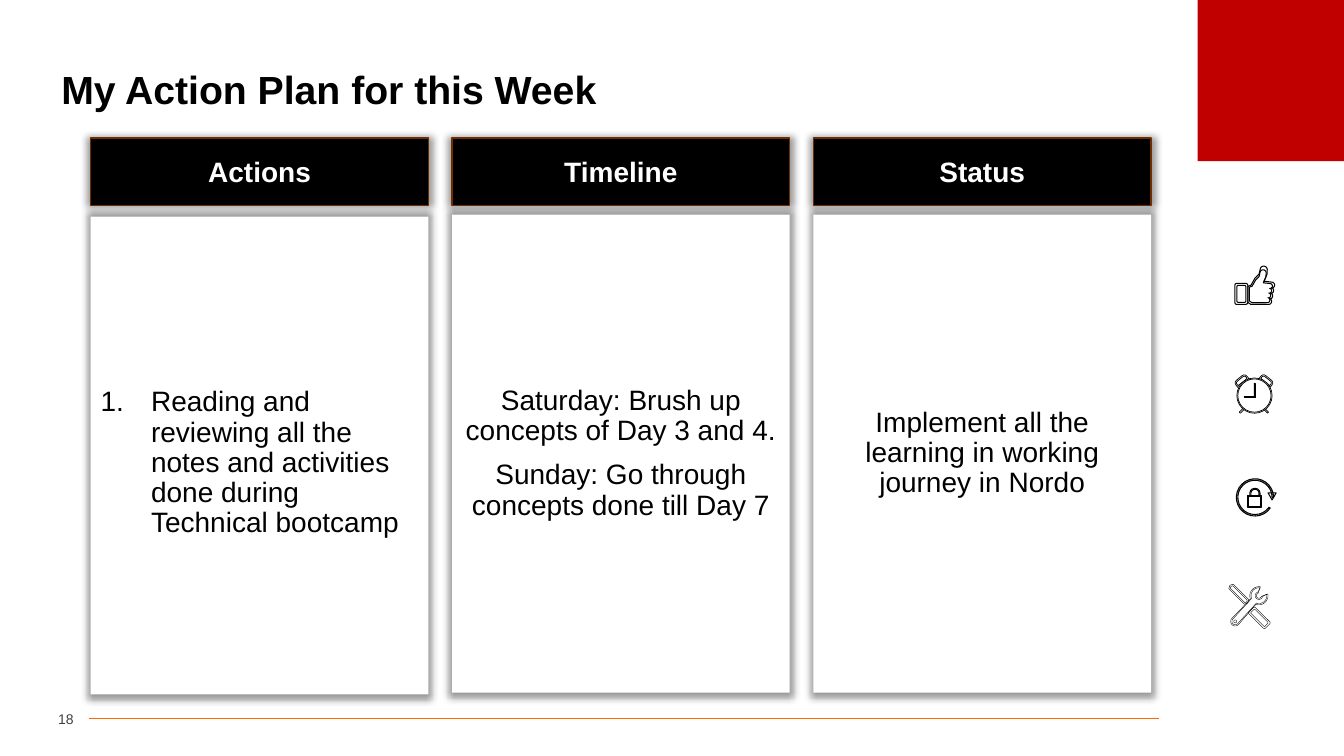
"""Builds the weekly action plan slide with three columns and four icons."""
import math
from collections import namedtuple

from lxml import etree
from pptx import Presentation
from pptx.dml.color import RGBColor
from pptx.enum import shapes, text
from pptx.oxml.ns import qn
from pptx.util import Pt

COLORS = {"black": "000000", "white": "FFFFFF", "red": "C00000", "brown": "702D00",
          "orange": "FF6600", "gray": "404040"}
FONT = "Arial"
TITLE = "My Action Plan for this Week"
PAGE = "18"
COLUMNS = [
    {"head": "Actions", "top": 154.8, "numbered": True,
     "body": ["Reading and reviewing all the notes and activities done during Technical bootcamp"]},
    {"head": "Timeline", "top": 153.4, "numbered": False,
     "body": ["Saturday: Brush up concepts of Day 3 and 4.",
              "Sunday: Go through concepts done till Day 7"]},
    {"head": "Status", "top": 153.4, "numbered": False,
     "body": ["Implement all the learning in working journey in Nordo"]},
]
COL_LEFT, COL_STEP, COL_WIDTH = 64.8, 258.1, 241.2
HEAD_TOP, HEAD_HEIGHT, BODY_HEIGHT = 98.6, 48.2, 341.3

GRID, GRID_SIZE = 0.72, 90
RECT, ROUNDED = shapes.MSO_SHAPE.RECTANGLE, shapes.MSO_SHAPE.ROUNDED_RECTANGLE
OVAL, DOME = shapes.MSO_SHAPE.OVAL, shapes.MSO_SHAPE.ROUND_2_SAME_RECTANGLE
HEXAGON, TRIANGLE = shapes.MSO_SHAPE.HEXAGON, shapes.MSO_SHAPE.FLOWCHART_MERGE
Part = namedtuple("Part", "kind cx cy width height turn gap fill", defaults=(0, 0, "white"))

CUFF = Part(ROUNDED, 32.5, 48.5, 13, 21, gap=2)
BELL = Part(DOME, 57.5, 30.5, 14, 6.5, turn=39, gap=1.3)
FOOT = Part(RECT, 57, 60.5, 5.5, 1.5, turn=45)
CLOCK_FACE = Part(OVAL, 45.5, 45.5, 35, 35, gap=1)
HOUR_HAND = Part(RECT, 40.5, 46.5, 11, 1, fill="black")
MINUTE_HAND = Part(RECT, 45.5, 40, 1, 14, fill="black")
ARROW_TIP = Part(TRIANGLE, 63, 43.5, 8, 7)
SHACKLE = Part(DOME, 46, 40, 10, 9, gap=1)
LOCK_BODY = Part(RECT, 46, 48.5, 14, 11, gap=1)
DRIVER_HANDLE = Part(ROUNDED, 53.5, 58, 23, 9, turn=45, gap=1.7)
DRIVER_BLADE = Part(HEXAGON, 33, 34.5, 25, 6.5, turn=45, gap=1.5)
WRENCH_HOLE = Part(OVAL, 29.5, 61.5, 3, 3)


def mirrored(part):
    return part._replace(cx=GRID_SIZE - part.cx, turn=-part.turn)


def arc(cx, cy, radius, start, end):
    angles = [math.radians(start + (end - start) * i / 24) for i in range(25)]
    return [(cx + radius * math.cos(a), cy - radius * math.sin(a)) for a in angles]


def scaled(points, cx, cy, factor):
    return [(cx + (x - cx) * factor, cy + (y - cy) * factor) for x, y in points]


def hand_outline():
    palm = [(39, 57), (42, 59), (58, 59)]
    knuckles = []
    for finger in range(4):
        knuckles += arc(59.5 + finger, 56 - 5.4 * finger, 3, -75, 75)
    thumb = [(55, 36), (58, 29)] + arc(54.7, 24.5, 3.5, 0, 170)
    return palm + knuckles + thumb + [(50, 29), (46, 33), (42, 40), (39, 41)]


def ring_outline(cx, cy, outer, inner, sweep):
    return arc(cx, cy, outer, 0, sweep) + arc(cx, cy, inner, sweep, 0)


def wrench_outline(inset):
    axis, head, tail = 46, (53, 36), (29.5, 61.5)
    upper_jaw = arc(*head, 9 - inset, axis + 35, axis + 155)
    grip = arc(*tail, 4.5 - inset, axis + 90, axis + 270)
    lower_jaw = arc(*head, 9 - inset, axis + 205, axis + 325)
    notch = arc(*head, 2.5 + inset, axis - 60, axis - 300)
    return upper_jaw + grip + lower_jaw + notch


HAND = hand_outline()
ICONS = [
    {"name": "thumb", "left": 863.3, "top": 175, "weight": 0.75, "parts": [CUFF],
     "outlines": [HAND, scaled(HAND, 50, 47, 0.86)]},
    {"name": "clock", "left": 863.3, "top": 249.8, "weight": 0.5, "outlines": [],
     "parts": [BELL, mirrored(BELL), FOOT, mirrored(FOOT), CLOCK_FACE, HOUR_HAND, MINUTE_HAND]},
    {"name": "lock", "left": 863.3, "top": 323.3, "weight": 0.75,
     "parts": [ARROW_TIP, SHACKLE, LOCK_BODY],
     "outlines": [ring_outline(46, 44.5, 18.5, 17, 325)]},
    {"name": "tools", "left": 861.1, "top": 399.6, "weight": 0.25,
     "parts": [DRIVER_HANDLE, DRIVER_BLADE, WRENCH_HOLE],
     "outlines": [wrench_outline(0), wrench_outline(1.2)]},
]


def rgb(name):
    return RGBColor.from_string(COLORS[name])


def style(sp, fill, line=None, weight=1):
    sp.shadow.inherit = False
    if fill:
        sp.fill.solid()
        sp.fill.fore_color.rgb = rgb(fill)
    else:
        sp.fill.background()
    if line:
        sp.line.color.rgb = rgb(line)
        sp.line.width = Pt(weight)
    else:
        sp.line.fill.background()


def add_shape(slide, kind, box, fill, line=None, weight=1):
    sp = slide.shapes.add_shape(kind, *map(Pt, box))
    style(sp, fill, line, weight)
    return sp


def add_glow(sp):
    effects = sp._element.spPr.find(qn("a:effectLst"))
    shadow = etree.SubElement(effects, qn("a:outerShdw"), blurRad=str(Pt(5)), dist="0", dir="0",
                              sx="102000", sy="102000", algn="ctr", rotWithShape="0")
    color = etree.SubElement(shadow, qn("a:srgbClr"), val=COLORS["black"])
    etree.SubElement(color, qn("a:alpha"), val="40000")


def write(sp, lines, size, color, bold=False, align=text.PP_ALIGN.CENTER, spacing=None, before=0):
    tf = sp.text_frame
    tf.word_wrap = True
    tf.vertical_anchor = text.MSO_ANCHOR.MIDDLE
    for i, line in enumerate(lines):
        p = tf.add_paragraph() if i else tf.paragraphs[0]
        p.alignment, p.line_spacing, p.space_before = align, spacing, Pt(before)
        r = p.add_run()
        r.text = line
        r.font.name, r.font.size, r.font.bold = FONT, Pt(size), bold
        r.font.color.rgb = rgb(color)
    return tf


def number_paragraphs(tf):
    tf.margin_top = Pt(14.6)
    for p in tf.paragraphs:
        pPr = p._p.get_or_add_pPr()
        pPr.set("marL", str(Pt(36)))
        pPr.set("indent", str(Pt(-36)))
        etree.SubElement(pPr, qn("a:buFont"), typeface="+mj-lt")
        etree.SubElement(pPr, qn("a:buAutoNum"), type="arabicPeriod")


def add_column(slide, index, column):
    left = COL_LEFT + index * COL_STEP
    body = add_shape(slide, RECT, (left, column["top"], COL_WIDTH, BODY_HEIGHT), "white")
    align = text.PP_ALIGN.LEFT if column["numbered"] else text.PP_ALIGN.CENTER
    tf = write(body, column["body"], 20, "black", align=align, spacing=0.9, before=10)
    if column["numbered"]:
        number_paragraphs(tf)
    head = add_shape(slide, RECT, (left, HEAD_TOP, COL_WIDTH, HEAD_HEIGHT), "black", "brown")
    write(head, [column["head"]], 20, "white", bold=True)
    add_glow(body)
    add_glow(head)


def add_part(slide, icon, part):
    for inset in ([0, part.gap] if part.gap else [0]):
        width, height = part.width - 2 * inset, part.height - 2 * inset
        box = (icon["left"] + (part.cx - width / 2) * GRID,
               icon["top"] + (part.cy - height / 2) * GRID, width * GRID, height * GRID)
        sp = add_shape(slide, part.kind, box, part.fill, "black", icon["weight"])
        sp.rotation = part.turn
        if part.kind == DOME:
            sp.adjustments[0] = 0.5


def add_outline(slide, icon, outline):
    points = [(Pt(icon["left"] + x * GRID), Pt(icon["top"] + y * GRID)) for x, y in outline]
    builder = slide.shapes.build_freeform(*points[0])
    builder.add_line_segments(points[1:], close=True)
    style(builder.convert_to_shape(), None, "black", icon["weight"])


def add_icon(slide, icon):
    badge = GRID_SIZE * GRID
    add_shape(slide, OVAL, (icon["left"], icon["top"], badge, badge), "white")
    for part in icon["parts"]:
        add_part(slide, icon, part)
    for outline in icon["outlines"]:
        add_outline(slide, icon, outline)


def main():
    prs = Presentation()
    prs.slide_width, prs.slide_height = Pt(960), Pt(540)
    slide = prs.slides.add_slide(prs.slide_layouts[6])
    rule = slide.shapes.add_connector(shapes.MSO_CONNECTOR.STRAIGHT, Pt(63.4), Pt(513.4),
                                      Pt(828), Pt(513.4))
    rule.line.color.rgb, rule.line.width = rgb("orange"), Pt(0.5)
    etree.SubElement(rule._element.spPr, qn("a:effectLst"))
    add_shape(slide, RECT, (855.4, 0, 104.6, 115.2), "red")
    title = slide.shapes.add_textbox(Pt(36.7), Pt(37.4), Pt(886.3), Pt(56.2))
    write(title, [TITLE], 28, "black", bold=True, align=text.PP_ALIGN.LEFT, spacing=0.9)
    number = slide.shapes.add_textbox(Pt(23.8), Pt(503.3), Pt(28.8), Pt(20.9))
    tf = write(number, [PAGE], 10, "gray", align=text.PP_ALIGN.RIGHT)
    tf.margin_left = tf.margin_right = 0
    for index, column in enumerate(COLUMNS):
        add_column(slide, index, column)
    for icon in ICONS:
        add_icon(slide, icon)
    prs.save("out.pptx")


if __name__ == "__main__":
    main()
